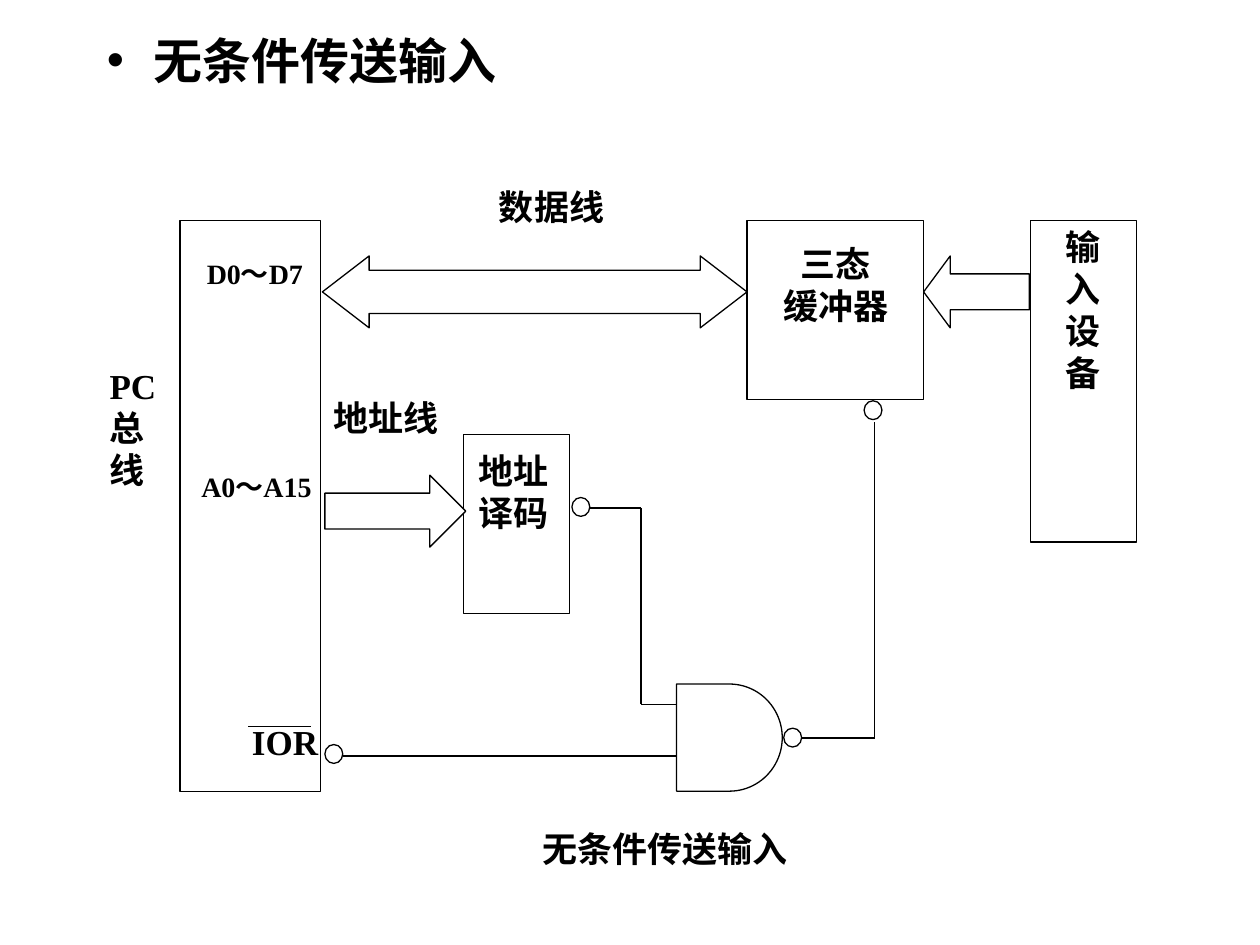
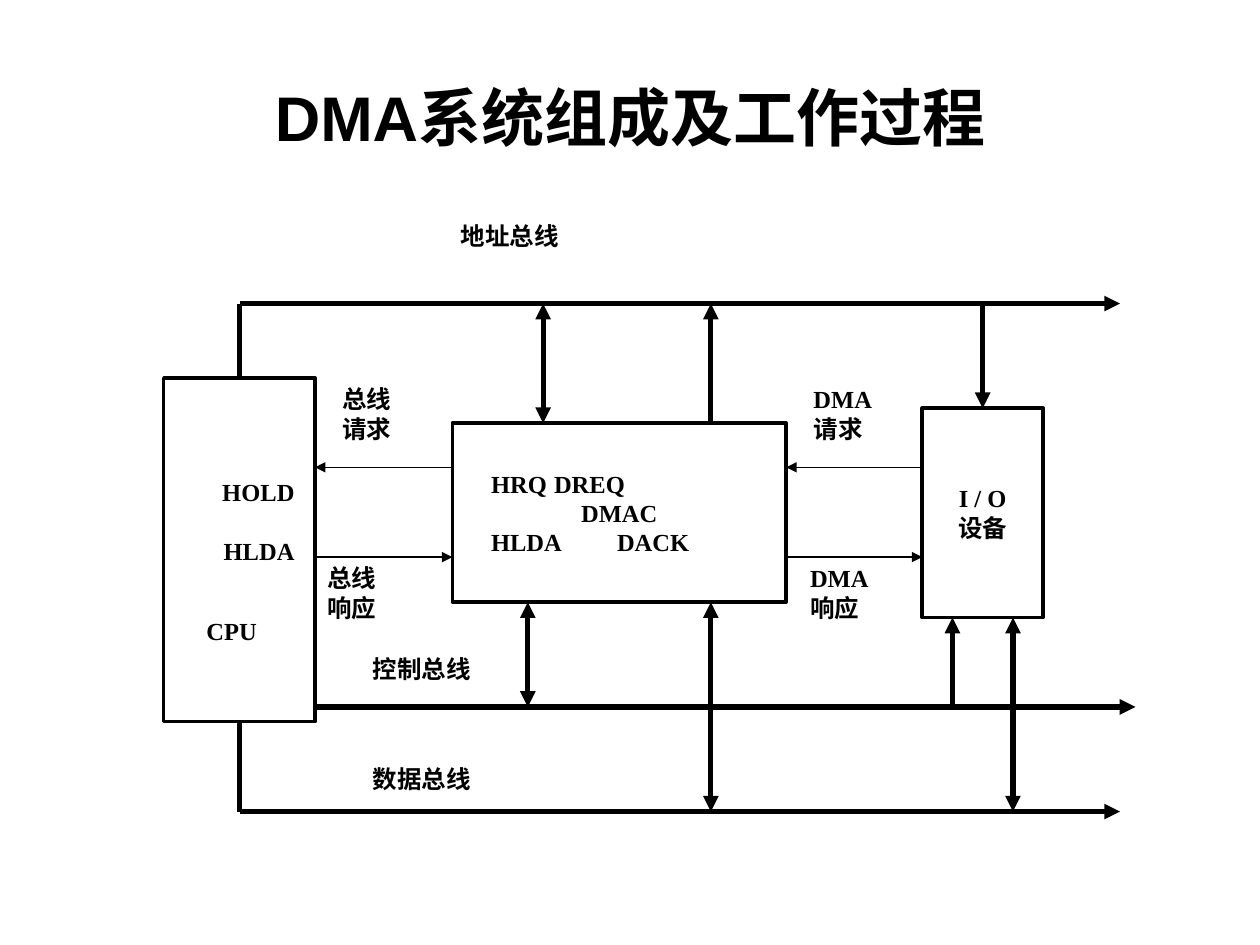
import dataclasses
import itertools

import lxml.etree
import pptx
import pptx.dml.color
import pptx.enum.shapes
import pptx.enum.text
import pptx.oxml.ns
import pptx.util

Cm = pptx.util.Cm
Pt = pptx.util.Pt
Align = pptx.enum.text.PP_ALIGN
Anchor = pptx.enum.text.MSO_ANCHOR
Shape = pptx.enum.shapes.MSO_SHAPE
qn = pptx.oxml.ns.qn


@dataclasses.dataclass(frozen=True)
class Theme:
    ink: pptx.dml.color.RGBColor = pptx.dml.color.RGBColor(0, 0, 0)
    paper: pptx.dml.color.RGBColor = pptx.dml.color.RGBColor(255, 255, 255)
    heading_font: str = "Arial"
    diagram_font: str = "Times New Roman"
    title_size: int = 36
    bullet_size: int = 28
    part_size: int = 20
    pin_size: int = 16
    signal_size: int = 14
    thin: float = 0.75
    outline: float = 2
    bus: float = 3
    padding: tuple = (0.25, 0.13)


THEME = Theme()


def add_run(paragraph, text, size, font=THEME.diagram_font):
    run = paragraph.add_run()
    run.text = text
    run.font.size = Pt(size)
    run.font.name = font
    run.font.bold = True
    run.font.color.rgb = THEME.ink


def write_lines(frame, lines, size, align):
    """Write one paragraph per line and return the paragraphs."""
    for index, line in enumerate(lines):
        paragraph = frame.add_paragraph() if index else frame.paragraphs[0]
        paragraph.alignment = align
        add_run(paragraph, line, size)
    return frame.paragraphs


def set_margins(frame, across, down):
    frame.margin_left = frame.margin_right = Cm(across)
    frame.margin_top = frame.margin_bottom = Cm(down)


def place(shape, left, top, width, height):
    shape.left, shape.top = Cm(left), Cm(top)
    shape.width, shape.height = Cm(width), Cm(height)


def add_label(slide, area, lines, size=THEME.part_size, align=Align.JUSTIFY,
              padding=(0, 0)):
    frame = slide.shapes.add_textbox(*map(Cm, area)).text_frame
    frame.word_wrap = True
    set_margins(frame, *padding)
    write_lines(frame, lines, size, align)


def add_part(slide, kind, area, adjustments=(), weight=THEME.thin):
    part = slide.shapes.add_shape(kind, *map(Cm, area))
    part.shadow.inherit = False
    part.fill.solid()
    part.fill.fore_color.rgb = THEME.paper
    part.line.color.rgb = THEME.ink
    part.line.width = Pt(weight)
    for index, value in enumerate(adjustments):
        part.adjustments[index] = value
    return part


def add_unit(slide, area, lines, align=Align.CENTER):
    """Add a heavy-outlined unit and return its text frame."""
    frame = add_part(slide, Shape.RECTANGLE, area, weight=THEME.outline).text_frame
    frame.word_wrap = True
    frame.vertical_anchor = Anchor.MIDDLE
    set_margins(frame, *THEME.padding)
    write_lines(frame, lines, THEME.signal_size, align)
    return frame


def add_line(slide, start, end, weight=THEME.thin, heads=""):
    """Join two points; heads names the ends with arrows: "", "end" or "both"."""
    line = slide.shapes.add_connector(
        pptx.enum.shapes.MSO_CONNECTOR.STRAIGHT, *map(Cm, start + end))
    line.line.color.rgb = THEME.ink
    line.line.width = Pt(weight)
    properties = line._element.spPr
    stroke = properties.find(qn("a:ln"))
    tips = {"": (), "end": ("a:tailEnd",), "both": ("a:headEnd", "a:tailEnd")}
    for tip in tips[heads]:
        lxml.etree.SubElement(stroke, qn(tip), type="triangle")
    lxml.etree.SubElement(properties, qn("a:effectLst"))


def add_wire(slide, *points):
    for start, end in itertools.pairwise(points):
        add_line(slide, start, end)


def spread_pair(paragraph, indent, right_stop):
    """Start the line at an indent and end it at a right-aligned tab stop."""
    paragraph.alignment = Align.LEFT
    properties = paragraph._p.get_or_add_pPr()
    properties.set("marL", str(Cm(indent)))
    properties.set("indent", "0")
    stops = lxml.etree.SubElement(properties, qn("a:tabLst"))
    lxml.etree.SubElement(stops, qn("a:tab"), pos=str(Cm(right_stop)), algn="r")


def add_bullet_heading(slide, text):
    title, body = slide.placeholders
    title._element.getparent().remove(title._element)
    place(body, 1.9, 0.71, 21.59, 2.21)
    frame = body.text_frame
    frame.auto_size = pptx.enum.text.MSO_AUTO_SIZE.NONE
    paragraph = frame.paragraphs[0]
    properties = paragraph._p.get_or_add_pPr()
    properties.set("marL", str(Cm(0.95)))
    properties.set("indent", str(-Cm(0.95)))
    paragraph.line_spacing = 0.8
    paragraph.space_before = Pt(0)
    add_run(paragraph, text, THEME.bullet_size, THEME.heading_font)


def add_title(slide, text):
    title = slide.shapes.title
    place(title, 1.27, 0.76, 22.86, 3.18)
    title.text_frame.vertical_anchor = Anchor.MIDDLE
    paragraph = title.text_frame.paragraphs[0]
    paragraph.alignment = Align.CENTER
    add_run(paragraph, text, THEME.title_size, THEME.heading_font)


def build_unconditional_input(slide):
    add_bullet_heading(slide, "无条件传送输入")

    pc_bus = (3.63, 4.45, 2.84, 11.51)
    buffer = (15.06, 4.45, 3.56, 3.61)
    input_device = (20.78, 4.45, 2.13, 6.48)
    decoder = (9.35, 8.76, 2.13, 3.61)
    for area in (pc_bus, buffer, input_device, decoder):
        add_part(slide, Shape.RECTANGLE, area)
    add_part(slide, Shape.FLOWCHART_DELAY, (13.64, 13.79, 2.13, 2.16))

    add_part(slide, Shape.LEFT_RIGHT_ARROW, (6.5, 5.16, 8.56, 1.45), (0.6, 0.65))
    add_part(slide, Shape.LEFT_ARROW, (18.62, 5.16, 2.13, 1.45), (0.5, 0.37))
    add_part(slide, Shape.RIGHT_ARROW, (6.55, 9.58, 2.84, 1.45), (0.5, 0.5))

    add_wire(slide, (6.91, 15.24), (13.64, 15.24))
    add_wire(slide, (11.89, 10.24), (12.92, 10.24), (12.92, 14.2), (13.64, 14.2))
    add_wire(slide, (16.13, 14.88), (17.63, 14.88), (17.63, 8.5))
    for left, top in ((15.8, 14.68), (17.42, 8.08), (6.55, 15.01), (11.53, 10.03)):
        add_part(slide, Shape.OVAL, (left, top, 0.36, 0.38))

    add_label(slide, (10.06, 3.73, 2.13, 1.45), ["数据线"])
    add_label(slide, (2.21, 7.34, 1.42, 4.32), ["PC", "总", "线"])
    add_label(slide, (4.17, 5.18, 2.13, 1.45), ["D0～D7"], THEME.pin_size)
    add_label(slide, (4.06, 9.47, 2.44, 1.47), ["A0～A15"], THEME.pin_size)
    add_label(slide, (5.08, 14.53, 1.42, 1.45), ["IOR"])
    add_wire(slide, (5, 14.64), (6.27, 14.64))
    add_label(slide, (6.73, 8, 2.13, 1.45), ["地址线"])
    add_label(slide, (15.77, 4.88, 2.16, 2.87), ["三态", "缓冲器"], align=Align.CENTER)
    add_label(slide, (21.49, 4.55, 0.71, 5.77), "输入设备")
    add_label(slide, (9.65, 9.07, 1.42, 2.9), ["地址", "译码"])
    add_label(slide, (8.75, 16.69, 9.32, 1.45), ["无条件传送输入"], align=Align.CENTER)


def build_dma_system(slide):
    add_title(slide, "DMA系统组成及工作过程")

    cpu_mid, cpu_right = 4.83, 6.35
    cpu_top, cpu_bottom = 7.62, 14.55
    dmac_left, dmac_right, dmac_top, dmac_bottom = 9.12, 15.85, 8.53, 12.14
    io_left, io_top, io_bottom = 18.59, 8.23, 12.45
    address_bus, control_bus, data_bus = 6.12, 14.25, 16.36
    request, response = 9.42, 11.23
    bus_end = 22.58

    cpu = add_unit(slide, (3.3, cpu_top, 3.05, cpu_bottom - cpu_top),
                   ["HOLD", "HLDA"], Align.RIGHT)
    cpu.vertical_anchor = Anchor.TOP
    cpu.margin_top, cpu.margin_right = Cm(2), Cm(0.41)
    cpu.paragraphs[1].space_before = Pt(17)

    dmac = add_unit(
        slide, (dmac_left, dmac_top, dmac_right - dmac_left, dmac_bottom - dmac_top),
        ["HRQ\tDREQ", "DMAC", "HLDA\tDACK"])
    for signal_pair in dmac.paragraphs[::2]:
        spread_pair(signal_pair, 0.53, 5.66)

    add_unit(slide, (io_left, io_top, 2.44, io_bottom - io_top), ["I / O", "设备"])

    for start, end, level in ((dmac_left, cpu_right, request),
                              (cpu_right, dmac_left, response),
                              (io_left, dmac_right, request),
                              (dmac_right, io_left, response)):
        add_line(slide, (start, level), (end, level), heads="end")

    for start, end, level in ((cpu_mid, bus_end, address_bus),
                              (cpu_right, 22.89, control_bus),
                              (cpu_mid, bus_end, data_bus)):
        add_line(slide, (start, level), (end, level), THEME.bus, "end")

    for across, start, end, heads in (
            (cpu_mid, address_bus, cpu_top, ""),
            (cpu_mid, cpu_bottom, data_bus, ""),
            (10.95, address_bus, dmac_top, "both"),
            (14.33, dmac_top, address_bus, "end"),
            (19.81, address_bus, io_top, "end"),
            (10.64, dmac_bottom, control_bus, "both"),
            (14.33, dmac_bottom, data_bus, "both"),
            (19.2, control_bus, io_bottom, "end"),
            (20.42, io_bottom, data_bus, "both")):
        add_line(slide, (across, start), (across, end), THEME.bus, heads)

    for area, lines in (
            ((9.04, 4.32, 2.6, 0.86), ["地址总线"]),
            ((6.65, 7.62, 2.21, 1.45), ["总线", "请求"]),
            ((6.35, 11.23, 2.82, 1.45), ["总线", "响应"]),
            ((3.91, 12.29, 2.16, 0.86), ["CPU"]),
            ((16.15, 7.62, 2.44, 1.45), ["DMA", "请求"]),
            ((16.08, 11.23, 2.16, 1.45), ["DMA", "响应"]),
            ((7.26, 13.06, 4.04, 0.86), ["控制总线"]),
            ((7.26, 15.27, 3.43, 0.86), ["数据总线"])):
        add_label(slide, area, lines, THEME.signal_size, Align.LEFT, THEME.padding)


def main():
    deck = pptx.Presentation()
    deck.slide_width, deck.slide_height = Cm(25.4), Cm(19.05)
    content_layout = deck.slide_layouts.get_by_name("Title and Content")
    title_layout = deck.slide_layouts.get_by_name("Title Only")
    build_unconditional_input(deck.slides.add_slide(content_layout))
    build_dma_system(deck.slides.add_slide(title_layout))
    deck.save("out.pptx")


if __name__ == "__main__":
    main()
